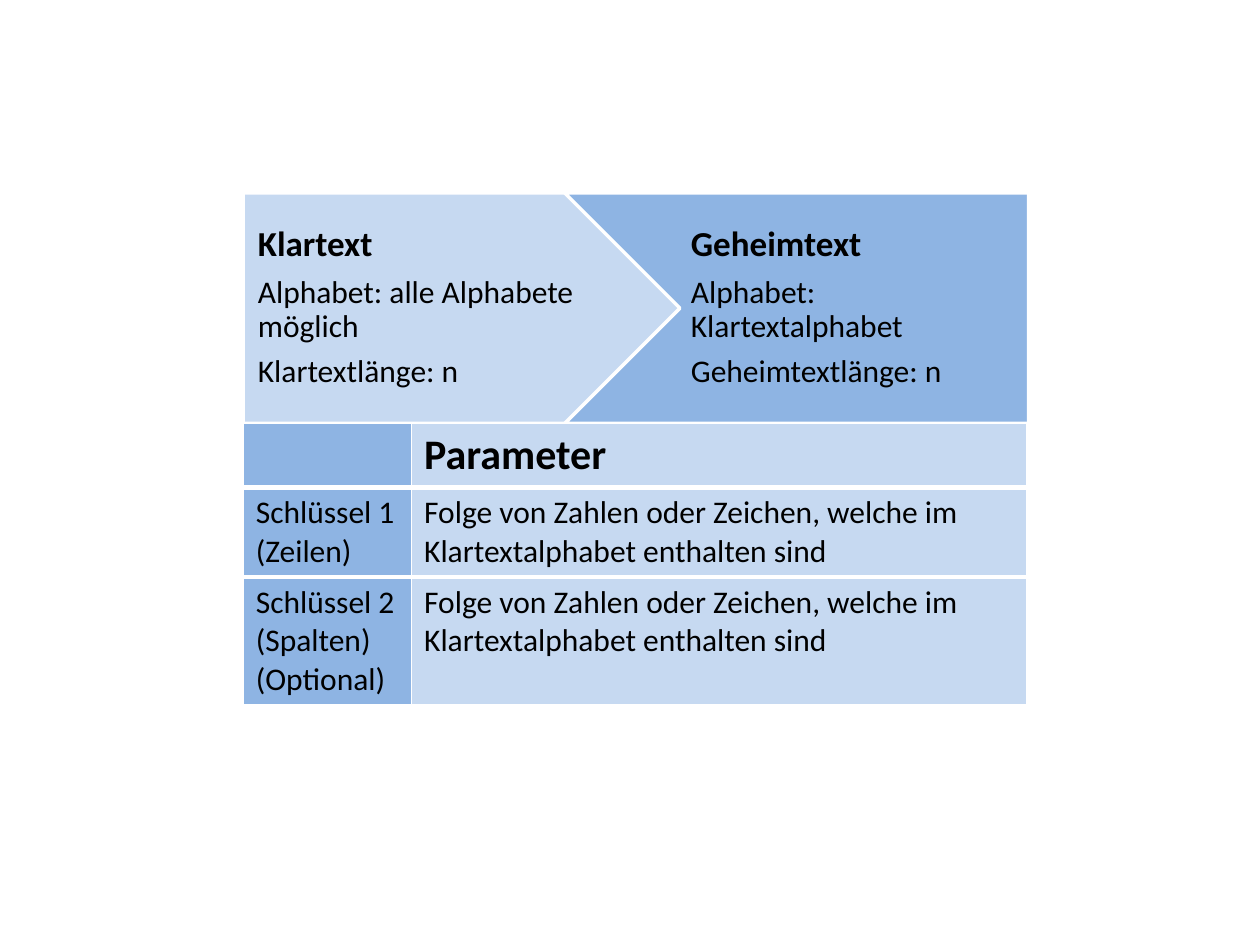
from lxml.etree import SubElement
from pptx import Presentation
from pptx.dml.color import RGBColor
from pptx.enum.shapes import MSO_SHAPE as Preset
from pptx.enum.text import MSO_ANCHOR as Anchor, PP_ALIGN as Align
from pptx.oxml.ns import qn
from pptx.util import Pt

LIGHT = RGBColor(0xC6, 0xD9, 0xF1)
MEDIUM = RGBColor(0x8E, 0xB4, 0xE3)
WHITE = RGBColor(0xFF, 0xFF, 0xFF)
BLACK = RGBColor(0, 0, 0)
FONT = "Calibri"

LEFT, TOP, STEP_HEIGHT = 139, 110.2, 131.8
STEPS = [
    (Preset.PENTAGON, LEFT, 283.7, LIGHT, 8.4,
     ["Klartext", "Alphabet: alle Alphabete möglich", "Klartextlänge: n"]),
    (Preset.CHEVRON, 322.6, 331.9, MEDIUM, 6.3,
     ["Geheimtext", "Alphabet: Klartextalphabet", "Geheimtextlänge: n"]),
]
RULE = "Folge von Zahlen oder Zeichen, welche im Klartextalphabet enthalten sind"
ROWS = [
    ("", "Parameter"),
    ("Schlüssel 1\v(Zeilen)", RULE),
    ("Schlüssel 2\v(Spalten)\v(Optional)", RULE),
]
COLUMN_WIDTHS = [96.2, 351.6]
ROW_HEIGHTS = [35, 51.2, 72.9]
TABLE_TOP = 242


def style_text(para, size, bold):
    para.alignment = Align.LEFT
    for span in para.runs:
        span.font.name = FONT
        span.font.size = Pt(size)
        span.font.bold = bold
        span.font.color.rgb = BLACK


def add_box(page, preset, left, top, width, height, color):
    box = page.shapes.add_shape(preset, Pt(left), Pt(top), Pt(width), Pt(height))
    box.shadow.inherit = False
    box.fill.solid()
    box.fill.fore_color.rgb = color
    box.line.fill.background()
    return box


def add_step(page, preset, left, width, color, inset, lines):
    box = add_box(page, preset, left, TOP, width, STEP_HEIGHT, color)
    box.adjustments[0] = 0.5
    box.line.color.rgb = WHITE
    box.line.width = Pt(2)
    frame = box.text_frame
    frame.word_wrap = True
    frame.vertical_anchor = Anchor.MIDDLE
    frame.margin_left, frame.margin_right = Pt(inset), Pt(2.1)
    frame.margin_top = frame.margin_bottom = Pt(4.2)
    frame.text = "\n".join(lines)
    for index, para in enumerate(frame.paragraphs):
        heading = index == 0
        para.line_spacing = 0.9
        para.space_after = Pt(7 if heading else 6.3)
        style_text(para, 20 if heading else 18, heading)


def add_borders(cell, widths):
    properties = cell._tc.get_or_add_tcPr()
    for side, width in widths.items():
        line = SubElement(properties, qn("a:ln" + side), w=str(Pt(width)))
        fill = SubElement(line, qn("a:solidFill"))
        SubElement(fill, qn("a:srgbClr"), val=str(WHITE))


def add_key_table(page):
    table = page.shapes.add_table(
        len(ROWS), len(COLUMN_WIDTHS), Pt(LEFT), Pt(TABLE_TOP),
        Pt(sum(COLUMN_WIDTHS)), Pt(sum(ROW_HEIGHTS))).table
    for column, width in zip(table.columns, COLUMN_WIDTHS):
        column.width = Pt(width)
    for row_index, texts in enumerate(ROWS):
        table.rows[row_index].height = Pt(ROW_HEIGHTS[row_index])
        header = row_index == 0
        last = row_index == len(ROWS) - 1
        for cell, text, color in zip(table.rows[row_index].cells, texts, (MEDIUM, LIGHT)):
            add_borders(cell, {"L": 0.96, "R": 0.96,
                               "T": 0.96 if header else 3,
                               "B": 0.96 if last else 3})
            cell.fill.solid()
            cell.fill.fore_color.rgb = color
            para = cell.text_frame.paragraphs[0]
            para.text = text
            style_text(para, 24 if header else 18, header)


deck = Presentation()
deck.slide_width, deck.slide_height = Pt(720), Pt(540)
page = deck.slides.add_slide(deck.slide_layouts[6])
for step in STEPS:
    add_step(page, *step)
add_box(page, Preset.RECTANGLE, 586.8, 82.8, 67.7, 175.7, WHITE)
add_key_table(page)
deck.save("out.pptx")
